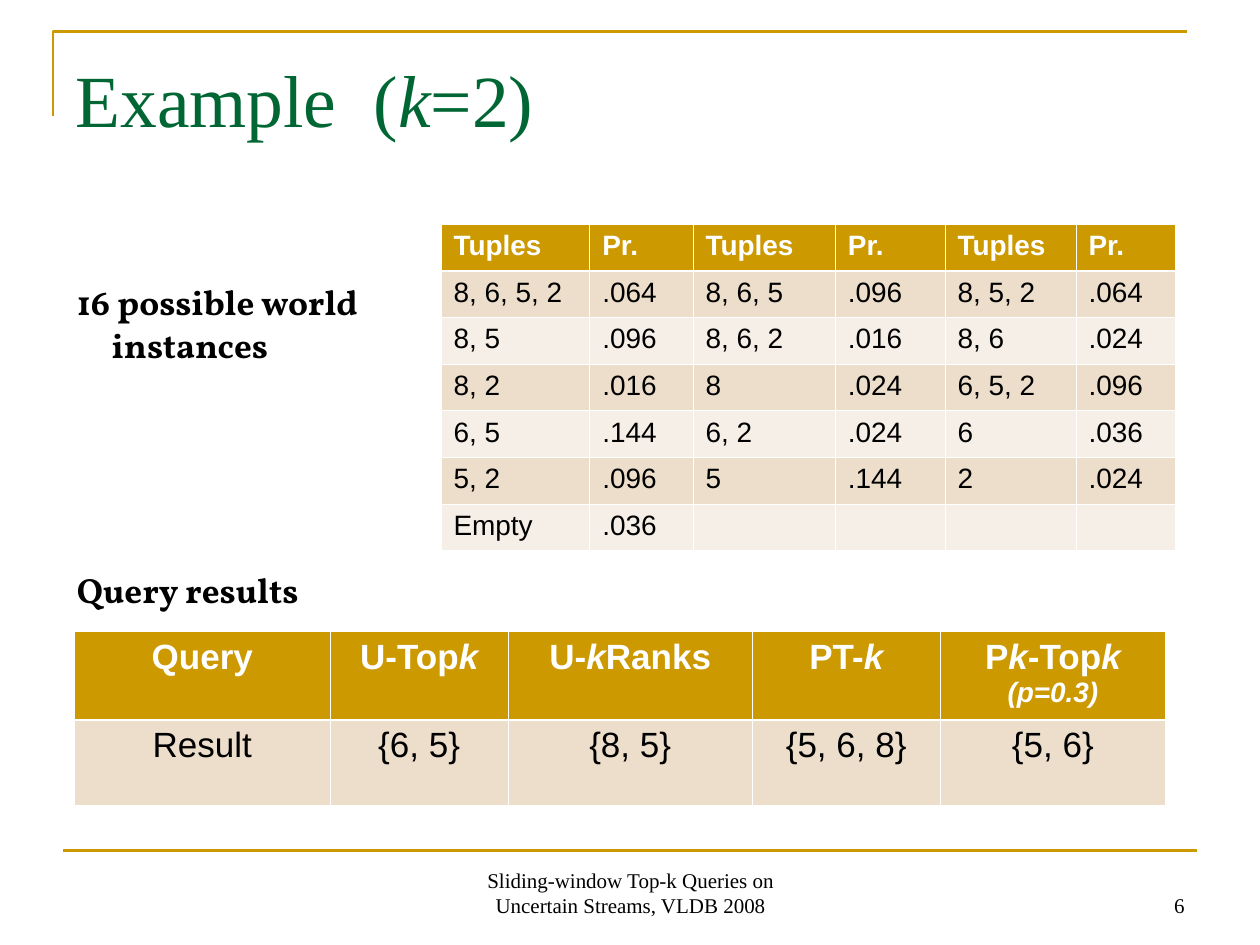
from lxml import etree
from pptx import Presentation
from pptx.dml.color import RGBColor
from pptx.enum.shapes import MSO_CONNECTOR
from pptx.enum.text import MSO_ANCHOR, PP_ALIGN
from pptx.oxml.ns import qn
from pptx.util import Cm, Pt

LEFT, CENTER, RIGHT = PP_ALIGN.LEFT, PP_ALIGN.CENTER, PP_ALIGN.RIGHT
TOP, BOTTOM = MSO_ANCHOR.TOP, MSO_ANCHOR.BOTTOM
STRAIGHT = MSO_CONNECTOR.STRAIGHT
COLORS = {
    "gold": "CC9900",
    "green": "006633",
    "black": "000000",
    "white": "FFFFFF",
    "band_dark": "ECDECB",
    "band_light": "F6EFE7",
}


def color(name):
    return RGBColor.from_string(COLORS[name])


def write(paragraph, text, size=16, font="Arial", fill="black", bold=False,
          italic=False, align=LEFT):
    """Write text into a paragraph; parts between asterisks are italic."""
    paragraph.alignment = align
    for index, part in enumerate(text.split("*")):
        if part:
            run = paragraph.add_run()
            run.text = part
            run.font.size = Pt(size)
            run.font.name = font
            run.font.bold = bold
            run.font.italic = italic or index % 2 == 1
            run.font.color.rgb = color(fill)
    if not text:
        # Keeps an empty cell as low as its row
        etree.SubElement(paragraph._p, qn("a:endParaRPr"), sz=str(size * 100))


presentation = Presentation()
presentation.slide_width = Cm(25.4)
presentation.slide_height = Cm(19.05)
slide = presentation.slides.add_slide(presentation.slide_layouts[5])
shapes = slide.shapes

# Corner line around the title
builder = shapes.build_freeform(Cm(1.07), Cm(2.34))
builder.add_line_segments([(Cm(1.07), Cm(0.64)), (Cm(23.93), Cm(0.64))], close=False)
corner = builder.convert_to_shape()
corner.shadow.inherit = False
corner.fill.background()

# Footer line
footer_line = shapes.add_connector(STRAIGHT, Cm(1.27), Cm(17.15), Cm(24.13), Cm(17.15))
etree.SubElement(footer_line._element.spPr, qn("a:effectLst"))
for shape in (corner, footer_line):
    shape.line.color.rgb = color("gold")
    shape.line.width = Pt(1.5)

# Title
title = shapes.title
title.left, title.top, title.width, title.height = Cm(1.27), Cm(0.76), Cm(22.86), Cm(3.18)
title.text_frame.vertical_anchor = TOP
title.text_frame.margin_top = Cm(0.32)
write(title.text_frame.paragraphs[0], "Example  (*k*=2)", size=42,
      font="Times New Roman", fill="green")

# Footer, slide number and table headings
footer_format = {"size": 12, "font": "Times New Roman"}
heading_format = {"size": 20, "font": "Vollkorn", "bold": True}
text_boxes = [
    ("Sliding-window Top-k Queries on Uncertain Streams, VLDB 2008",
     8.69, 17.35, 8.05, 1.27, BOTTOM, {**footer_format, "align": CENTER}),
    ("6", 18.21, 17.35, 5.92, 1.27, BOTTOM, {**footer_format, "align": RIGHT}),
    ("16 possible world instances", 1.3, 5.54, 6.38, 1.96, TOP, heading_format),
    ("Query results", 1.3, 11.33, 5.21, 1.12, TOP, heading_format),
]
for text, left, top, width, height, anchor, text_format in text_boxes:
    box = shapes.add_textbox(Cm(left), Cm(top), Cm(width), Cm(height))
    box.text_frame.word_wrap = True
    box.text_frame.vertical_anchor = anchor
    paragraph = box.text_frame.paragraphs[0]
    write(paragraph, text, **text_format)
    if text_format is heading_format:
        # Hanging indent for the second line
        properties = paragraph._p.get_or_add_pPr()
        properties.set("marL", str(Cm(0.7)))
        properties.set("indent", str(-Cm(0.7)))

# Tables: position, column widths, row heights, text size, alignment, rows
instances = [
    ["Tuples", "Pr."] * 3,
    ["8, 6, 5, 2", ".064", "8, 6, 5", ".096", "8, 5, 2", ".064"],
    ["8, 5", ".096", "8, 6, 2", ".016", "8, 6", ".024"],
    ["8, 2", ".016", "8", ".024", "6, 5, 2", ".096"],
    ["6, 5", ".144", "6, 2", ".024", "6", ".036"],
    ["5, 2", ".096", "5", ".144", "2", ".024"],
    ["Empty", ".036", "", "", "", ""],
]
results = [
    ["Query", "U-Top*k*", "U-*k*Ranks", "PT-*k*", "P*k*-Top*k*"],
    ["Result", "{6, 5}", "{8, 5}", "{5, 6, 8}", "{5, 6}"],
]
tables = [
    (8.89, 4.52, [3, 2.08, 2.87, 2.21, 2.64, 2.01], [0.94] * 7, 16, LEFT, instances),
    (1.5, 12.73, [5.16, 3.58, 4.93, 3.78, 4.55], [1.78, 1.73], 20, CENTER, results),
]
for left, top, widths, heights, size, align, rows in tables:
    frame = shapes.add_table(len(rows), len(widths), Cm(left), Cm(top),
                             Cm(sum(widths)), Cm(sum(heights)))
    table = frame.table
    for column, width in zip(table.columns, widths):
        column.width = Cm(width)
    for row_index, (row, height) in enumerate(zip(rows, heights)):
        table.rows[row_index].height = Cm(height)
        header = row_index == 0
        band = "gold" if header else ("band_light", "band_dark")[row_index % 2]
        # The rule between header and body is thicker
        borders = {"lnL": 0.45, "lnR": 0.45,
                   "lnT": 1.47 if row_index == 1 else 0.45,
                   "lnB": 1.47 if header else 0.45}
        for column_index, text in enumerate(row):
            cell = table.cell(row_index, column_index)
            cell_properties = cell._tc.get_or_add_tcPr()
            for side, points in borders.items():
                line = etree.SubElement(cell_properties, qn(f"a:{side}"), w=str(Pt(points)))
                solid = etree.SubElement(line, qn("a:solidFill"))
                etree.SubElement(solid, qn("a:srgbClr"), val=COLORS["white"])
            cell.fill.solid()
            cell.fill.fore_color.rgb = color(band)
            write(cell.text_frame.paragraphs[0], text, size=size, align=align,
                  bold=header, fill="white" if header else "black")

# Threshold under the last query name
write(table.cell(0, 4).text_frame.add_paragraph(), "(p=0.3)", fill="white",
      bold=True, italic=True, align=CENTER)

presentation.save("out.pptx")
